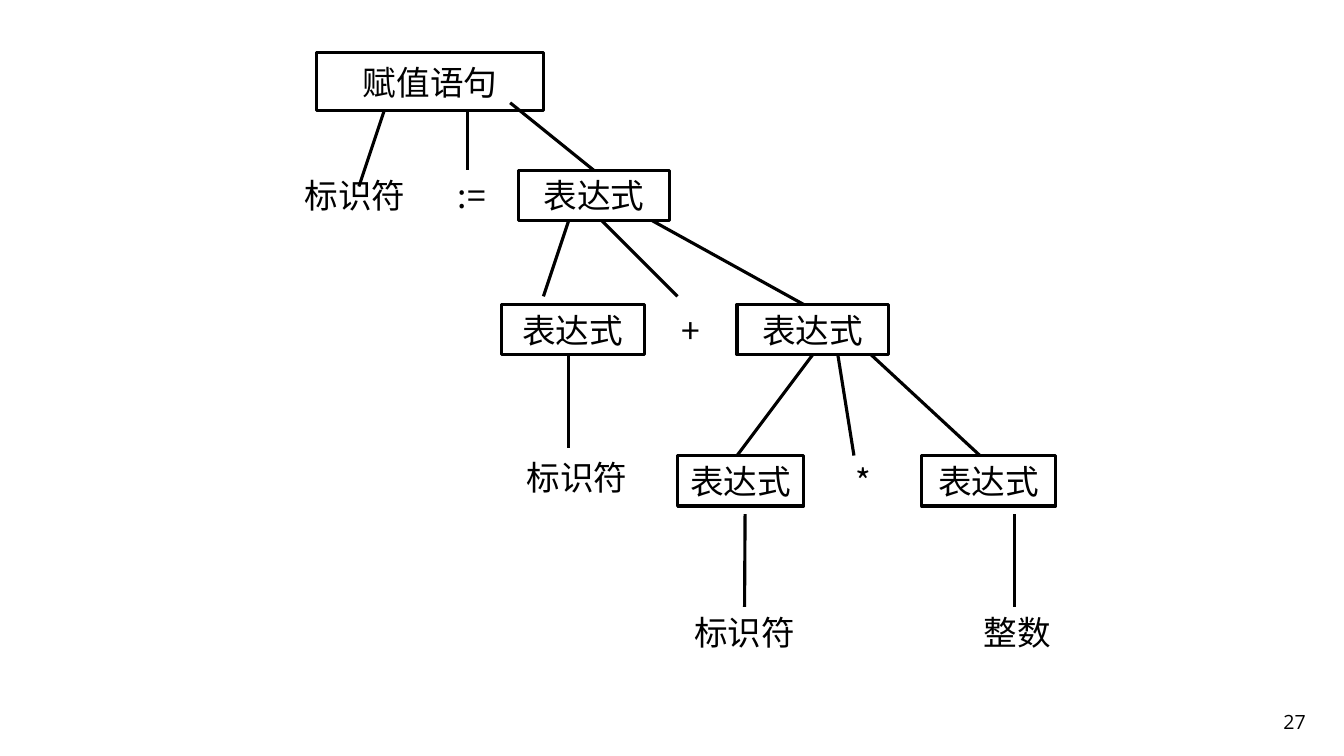
from pptx import Presentation
from pptx.dml.color import RGBColor
from pptx.enum.shapes import MSO_CONNECTOR, MSO_SHAPE
from pptx.enum.text import MSO_ANCHOR, PP_ALIGN
from pptx.oxml.ns import qn
from pptx.util import Inches, Pt

BLACK = RGBColor(0x00, 0x00, 0x00)
WHITE = RGBColor(0xFF, 0xFF, 0xFF)
TREE_FONT = "Noto Sans CJK JP"
NUMBER_FONT = "Open Sans"
LINE_WIDTH = Pt(2.25)
TOP = 0

# Tree levels, in inches from the top of the slide
EXPRESSION, OPERANDS, FACTORS, LEAVES = 1.69, 3.02, 4.52, 6.02
ROW = 0.5

# name: (text, left, top, width, height, outline)
NODES = {
    "integer": ("整数", 9.42, LEAVES, 1.34, ROW, WHITE),
    "statement": ("赋值语句", 3.14, 0.52, 2.25, 0.58, BLACK),
    "target": ("标识符", 2.81, EXPRESSION, 1.42, ROW, WHITE),
    "expression": ("表达式", 5.14, EXPRESSION, 1.5, ROW, BLACK),
    "left operand": ("表达式", 4.97, OPERANDS, 1.42, ROW, BLACK),
    "plus": ("+", 6.56, OPERANDS, 0.58, ROW, WHITE),
    "left factor": ("表达式", 6.72, FACTORS, 1.25, ROW, BLACK),
    "right factor": ("表达式", 9.14, FACTORS, 1.33, ROW, BLACK),
    "factor name": ("标识符", 6.72, LEAVES, 1.33, ROW, WHITE),
    "operand name": ("标识符", 5.06, 4.44, 1.33, 0.58, WHITE),
    "assign": (":=", 4.39, EXPRESSION, 0.58, ROW, WHITE),
    "right operand": ("表达式", 7.31, OPERANDS, 1.5, ROW, BLACK),
    "times": ("*", 8.31, FACTORS, 0.5, ROW, WHITE),
}

# (start x, start y, end x, end y, node joined at its top middle)
BRANCHES = [
    (5.64, 3.52, 5.64, 4.44, None),
    (7.39, 5.1, 7.39, LEAVES, "factor name"),
    (10.06, 5.1, 10.06, LEAVES, None),
    (4.64, 1.1, 4.64, EXPRESSION, None),
    (5.64, 2.19, 5.39, 2.94, None),
    (5.97, 2.19, 6.72, 2.94, None),
    (6.47, 2.19, 7.97, OPERANDS, None),
    (8.06, 3.52, 7.31, FACTORS, None),
    (8.31, 3.52, 8.47, FACTORS, None),
    (8.64, 3.52, 9.72, FACTORS, None),
    (5.06, 1.02, 5.88, EXPRESSION, "expression"),
    (3.81, 1.1, 3.56, 1.85, None),
]


def write_text(shape, text, *, font, size, align, anchor, wrap):
    frame = shape.text_frame
    frame.word_wrap = wrap
    frame.vertical_anchor = anchor
    para = frame.paragraphs[0]
    para.alignment = align
    span = para.add_run()
    span.text = text
    span.font.name = font
    span.font.size = Pt(size)
    span.font.color.rgb = BLACK
    east_asian = span.font._element.makeelement(qn("a:ea"), {"typeface": font})
    span.font._element.find(qn("a:latin")).addnext(east_asian)


def add_node(page, text, left, top, width, height, outline):
    box = page.shapes.add_shape(
        MSO_SHAPE.RECTANGLE, Inches(left), Inches(top), Inches(width), Inches(height))
    box.shadow.inherit = False
    box.fill.solid()
    box.fill.fore_color.rgb = WHITE
    box.line.color.rgb = outline
    box.line.width = LINE_WIDTH
    write_text(box, text, font=TREE_FONT, size=24, align=PP_ALIGN.CENTER,
               anchor=MSO_ANCHOR.MIDDLE, wrap=False)
    return box


def add_branch(page, start_x, start_y, end_x, end_y, child=None):
    branch = page.shapes.add_connector(
        MSO_CONNECTOR.STRAIGHT,
        Inches(start_x), Inches(start_y), Inches(end_x), Inches(end_y))
    branch.line.color.rgb = BLACK
    branch.line.width = LINE_WIDTH
    properties = branch._element.spPr
    properties.append(properties.makeelement(qn("a:effectLst"), {}))
    if child is not None:
        branch.end_connect(child, TOP)


def add_page_number(page, number):
    box = page.shapes.add_textbox(Inches(10.27), Inches(6.83), Inches(2.78), Inches(0.5))
    write_text(box, number, font=NUMBER_FONT, size=14, align=PP_ALIGN.RIGHT,
               anchor=MSO_ANCHOR.BOTTOM, wrap=True)


def main():
    deck = Presentation()
    deck.slide_width = Inches(13.33)
    deck.slide_height = Inches(7.5)
    page = deck.slides.add_slide(deck.slide_layouts[6])
    boxes = {name: add_node(page, *node) for name, node in NODES.items()}
    for *ends, child in BRANCHES:
        add_branch(page, *ends, child=boxes.get(child))
    add_page_number(page, "27")
    deck.save("out.pptx")


if __name__ == "__main__":
    main()
